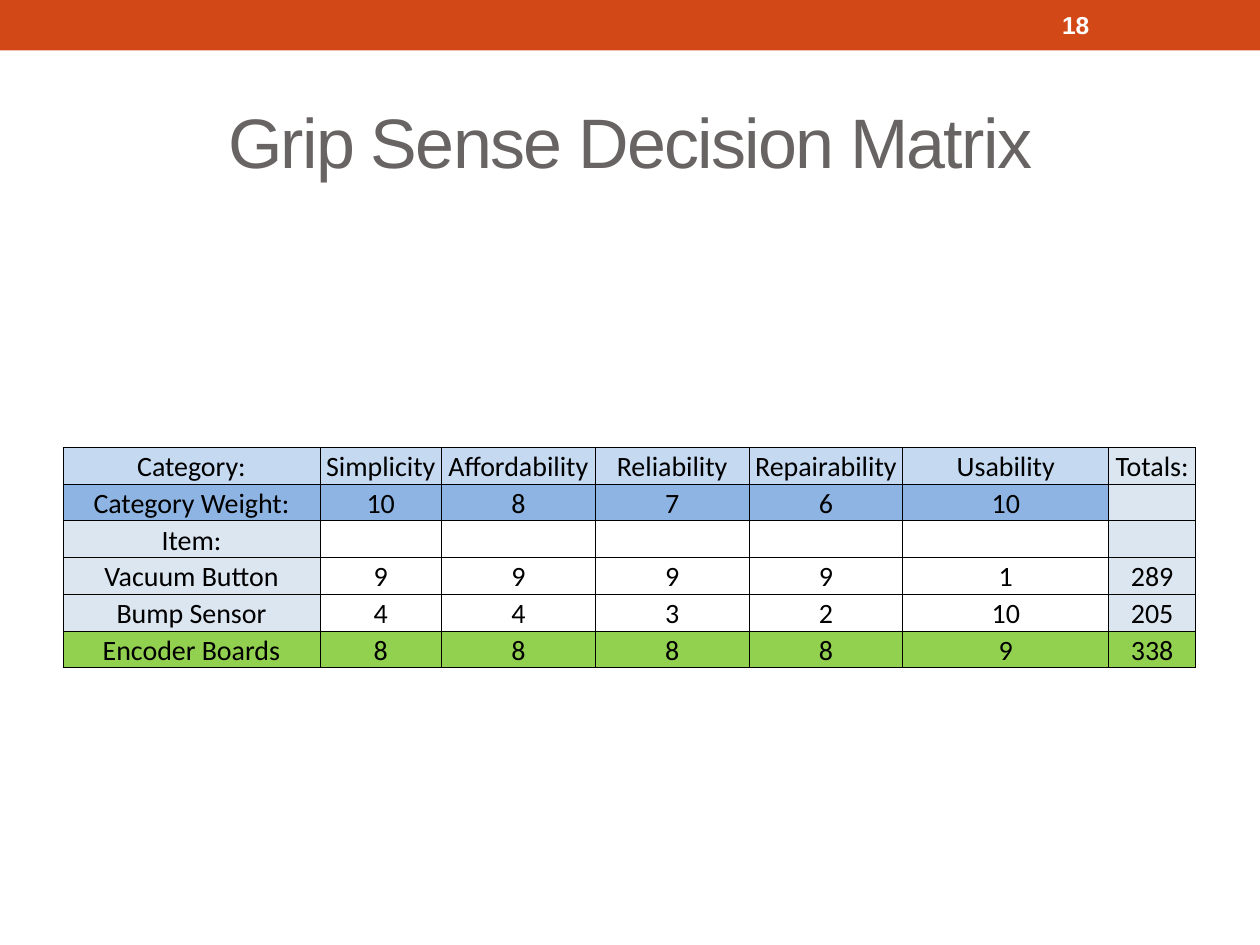
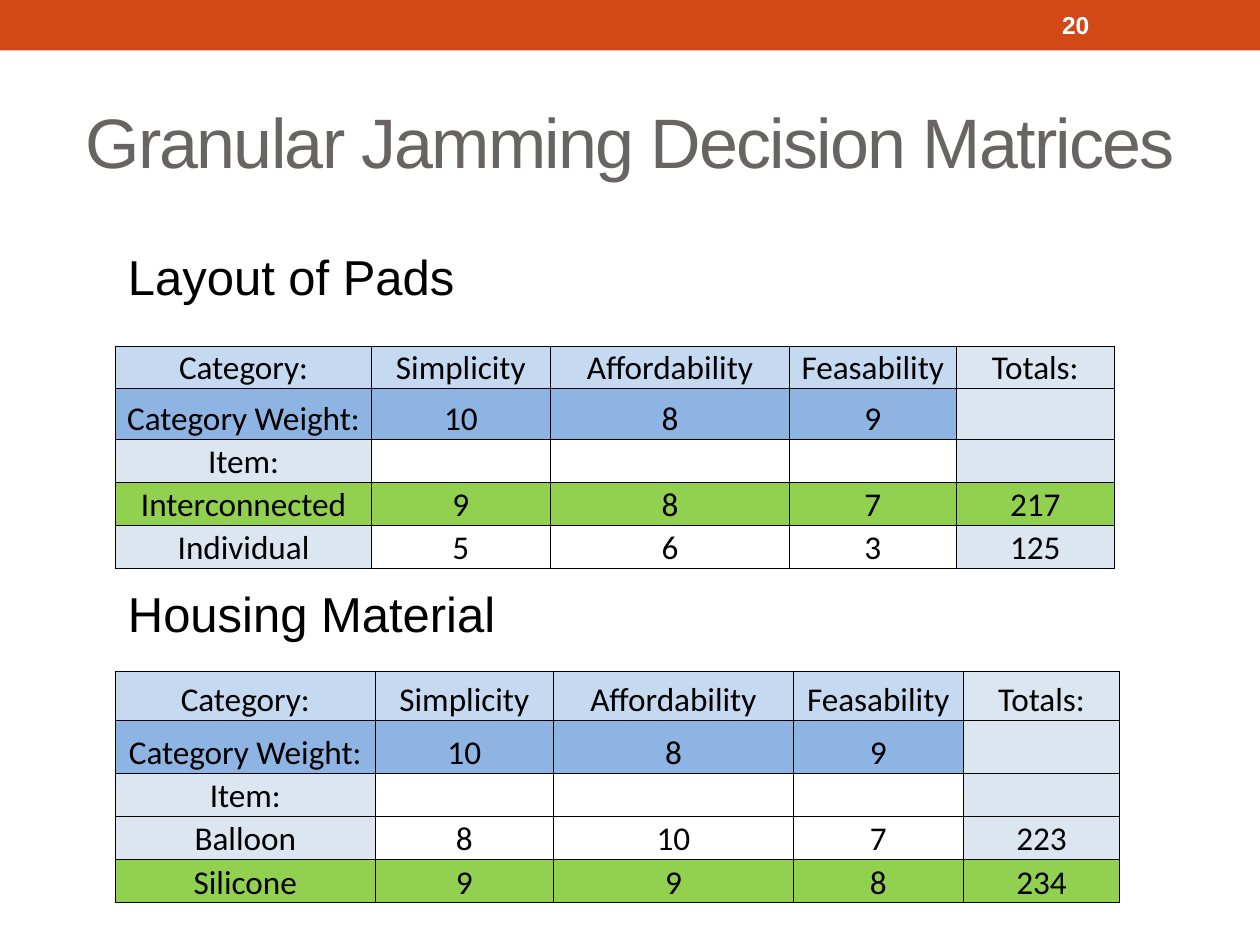
from lxml import etree
from pptx import Presentation
from pptx.dml.color import RGBColor
from pptx.enum.shapes import MSO_SHAPE as SHAPE
from pptx.enum.text import MSO_ANCHOR as ANCHOR, PP_ALIGN as ALIGN
from pptx.oxml.ns import qn
from pptx.util import Cm, Pt

COLORS = {
    "band": "D34817",
    "title": "696464",
    "text": "000000",
    "number": "FFFFFF",
    "category": "C5D9F1",
    "weight": "8DB4E2",
    "label": "DCE6F1",
    "winner": "92D050",
    "border": "000000",
}
HEADING_FONT = "Arial"
TABLE_FONT = "Calibri"
SLIDE_WIDTH, SLIDE_HEIGHT = 25.4, 19.05
TITLE_ONLY = 5
MATRICES_LEFT = 2.33


def rgb(name):
    return RGBColor.from_string(COLORS[name])


def write(frame, text, size, font=HEADING_FONT, color="text", bold=False,
          align=ALIGN.LEFT, spacing=None):
    """Put one formatted paragraph in a text frame; spacing is in points."""
    paragraph = frame.paragraphs[0]
    paragraph.alignment = align
    if not text:
        paragraph._p.get_or_add_endParaRPr().set("sz", str(size * 100))
        return
    run = paragraph.add_run()
    run.text = text
    run.font.size = Pt(size)
    run.font.name = font
    run.font.bold = bold
    run.font.color.rgb = rgb(color)
    if spacing is not None:
        run._r.get_or_add_rPr().set("spc", str(spacing * 100))


def add_text(slide, text, left, top, width, height, anchor=ANCHOR.TOP, **style):
    frame = slide.shapes.add_textbox(Cm(left), Cm(top), Cm(width), Cm(height)).text_frame
    frame.word_wrap = True
    frame.vertical_anchor = anchor
    write(frame, text, **style)


def add_titled_slide(deck, title, number):
    slide = deck.slides.add_slide(deck.slide_layouts[TITLE_ONLY])
    band = slide.shapes.add_shape(SHAPE.RECTANGLE, 0, 0, Cm(SLIDE_WIDTH), Cm(1.02))
    band.shadow.inherit = False
    band.fill.solid()
    band.fill.fore_color.rgb = rgb("band")
    band.line.fill.background()

    heading = slide.shapes.title
    heading.left, heading.top = Cm(1.27), Cm(1.47)
    heading.width, heading.height = Cm(22.86), Cm(2.74)
    heading.text_frame.vertical_anchor = ANCHOR.MIDDLE
    write(heading.text_frame, title, size=40, color="title",
          align=ALIGN.CENTER, spacing=-1)

    add_text(slide, str(number), 21.16, 0.05, 2.97, 0.91, anchor=ANCHOR.MIDDLE,
             size=14, color="number", bold=True)
    return slide


def add_borders(cell, width=0.5):
    properties = cell._tc.get_or_add_tcPr()
    for side in ("lnL", "lnR", "lnT", "lnB"):
        line = etree.SubElement(properties, qn(f"a:{side}"), w=str(Pt(width)))
        fill = etree.SubElement(line, qn("a:solidFill"))
        etree.SubElement(fill, qn("a:srgbClr"), val=COLORS["border"])


def format_cell(cell, text, size, fill):
    cell.margin_left = cell.margin_right = cell.margin_top = Cm(0.02)
    cell.margin_bottom = 0
    cell.vertical_anchor = ANCHOR.BOTTOM
    write(cell.text_frame, text, size=size, font=TABLE_FONT, align=ALIGN.CENTER)
    add_borders(cell)
    if fill:
        cell.fill.solid()
        cell.fill.fore_color.rgb = rgb(fill)
    else:
        cell.fill.background()


def cell_fill(row, column, last_column, winner_row):
    if row == winner_row:
        return "winner"
    if column == last_column:
        return "label"
    if row < 2:
        return ("category", "weight")[row]
    return "label" if column == 0 else None


def add_decision_matrix(slide, weights, scores, left, top, widths, heights, size):
    """Add a table of weighted scores, with the best total highlighted."""
    totals = [sum(w * s for w, s in zip(weights.values(), item))
              for item in scores.values()]
    rows = [
        ["Category:", *weights, "Totals:"],
        ["Category Weight:", *weights.values(), ""],
        ["Item:", *[""] * len(weights), ""],
    ]
    winner_row = len(rows) + totals.index(max(totals))
    rows += [[name, *item, total]
             for (name, item), total in zip(scores.items(), totals)]

    matrix = slide.shapes.add_table(
        len(rows), len(widths), Cm(left), Cm(top),
        Cm(sum(widths)), Cm(sum(heights))).table
    matrix.first_row = matrix.horz_banding = False
    for column, width in zip(matrix.columns, widths):
        column.width = Cm(width)
    for row, height in zip(matrix.rows, heights):
        row.height = Cm(height)
    for r, values in enumerate(rows):
        for c, value in enumerate(values):
            fill = cell_fill(r, c, len(widths) - 1, winner_row)
            format_cell(matrix.cell(r, c), str(value), size, fill)


def main():
    deck = Presentation()
    deck.slide_width, deck.slide_height = Cm(SLIDE_WIDTH), Cm(SLIDE_HEIGHT)

    grip = add_titled_slide(deck, "Grip Sense Decision Matrix", 18)
    add_decision_matrix(
        grip,
        {"Simplicity": 10, "Affordability": 8, "Reliability": 7,
         "Repairability": 6, "Usability": 10},
        {"Vacuum Button": (9, 9, 9, 9, 1),
         "Bump Sensor": (4, 4, 3, 2, 10),
         "Encoder Boards": (8, 8, 8, 8, 9)},
        left=1.27, top=9.02, size=16,
        widths=[5.18, 2.45, 3.1, 3.1, 3.1, 4.15, 1.75], heights=[0.74] * 6)

    jamming = add_titled_slide(deck, "Granular Jamming Decision Matrices", 20)
    jamming_weights = {"Simplicity": 10, "Affordability": 8, "Feasability": 9}
    item_heights = [0.87] * 3

    add_text(jamming, "Layout of Pads", MATRICES_LEFT, 4.85, 8.46, 1.45, size=28)
    add_decision_matrix(
        jamming, jamming_weights,
        {"Interconnected": (9, 8, 7), "Individual": (5, 6, 3)},
        left=MATRICES_LEFT, top=6.98, size=19,
        widths=[5.16, 3.6, 4.83, 3.35, 3.2], heights=[0.84, 1.03, *item_heights])

    add_text(jamming, "Housing Material", MATRICES_LEFT, 11.63, 8.89, 1.45, size=28)
    add_decision_matrix(
        jamming, jamming_weights,
        {"Balloon": (8, 10, 7), "Silicone": (9, 9, 8)},
        left=MATRICES_LEFT, top=13.54, size=19,
        widths=[5.23, 3.6, 4.83, 3.43, 3.15], heights=[0.98, 1.07, *item_heights])

    deck.save("out.pptx")


if __name__ == "__main__":
    main()
